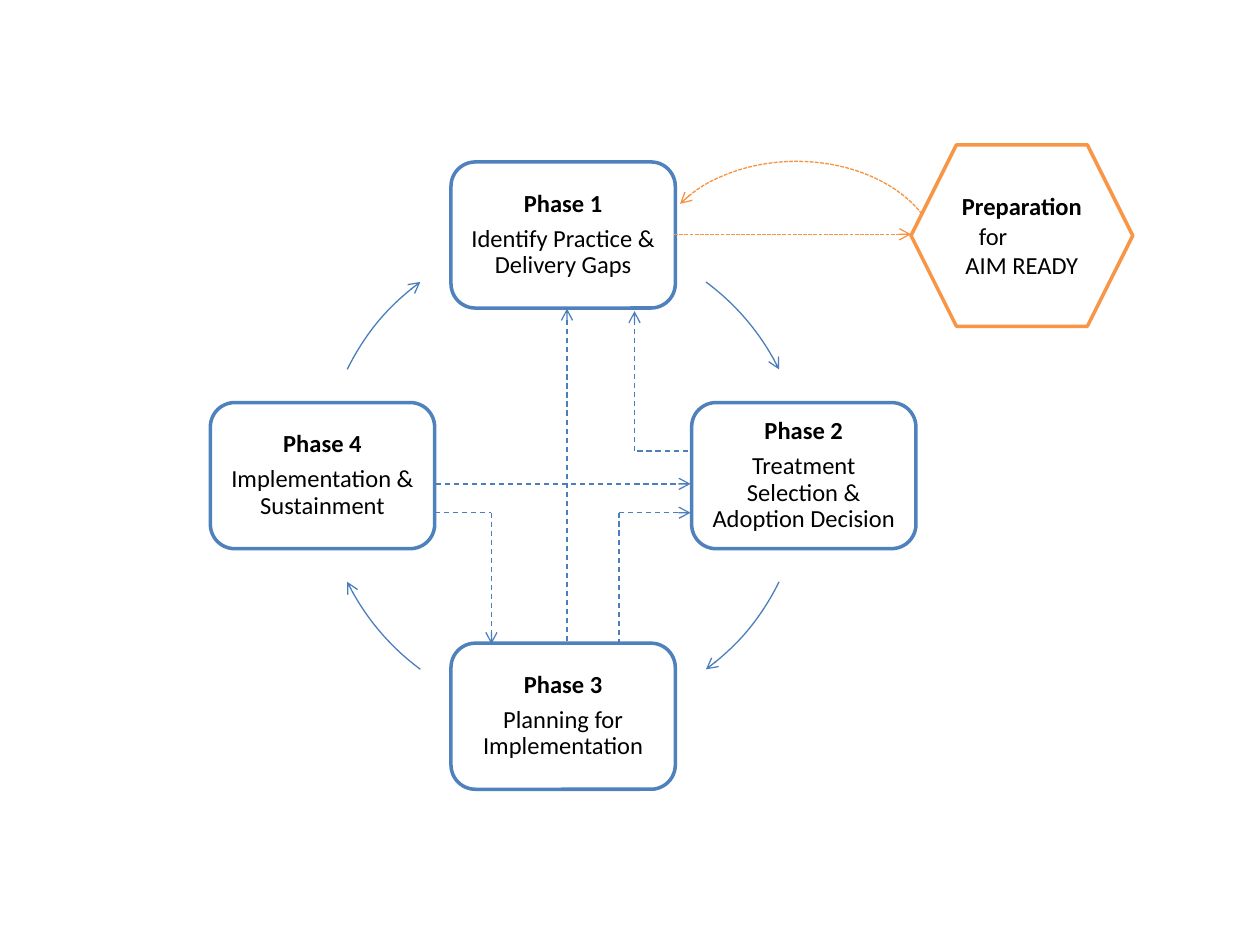
from itertools import pairwise

from lxml.etree import SubElement
from pptx import Presentation
from pptx.dml.color import RGBColor
from pptx.enum.dml import MSO_LINE
from pptx.enum.shapes import MSO_CONNECTOR, MSO_SHAPE
from pptx.enum.text import MSO_ANCHOR, PP_ALIGN
from pptx.oxml.ns import qn
from pptx.util import Pt

# Content: phase, description, direction from the cycle centre
PHASES = [
    ("Phase 1", "Identify Practice & Delivery Gaps", (0, -1)),
    ("Phase 2", "Treatment Selection & Adoption Decision", (1, 0)),
    ("Phase 3", "Planning for Implementation", (0, 1)),
    ("Phase 4", "Implementation & Sustainment", (-1, 0)),
]
PREPARATION = ["Preparation", "for", "AIM READY"]
PREPARATION_INDENTS = [0, 12.5, 0]

# Dashed routes in points, each ending in an arrowhead
FEEDBACK_ROUTES = [
    [(324, 366.5), (324, 176.4)],
    [(249, 276.5), (394.6, 276.5)],
    [(393, 257.8), (362.6, 257.8), (362.6, 177.8)],
    [(248.5, 293), (280.8, 293), (280.8, 368)],
    [(353.8, 368), (353.8, 293), (394.6, 293)],
]
PREPARATION_ROUTE = [(385.2, 133.9), (520.6, 133.9)]

# Cycle geometry: arrow angles are clockwise degrees from the right
CENTER_X, CENTER_Y, RADIUS = 321.8, 271.8, 137.5
BOX_WIDTH, BOX_HEIGHT = 128.2, 83.5
CYCLE_ARROWS = [(306.4, 333.8), (26.2, 53.6), (126.4, 153.8), (206.2, 233.6)]

BOX_BLUE, ARROW_BLUE = "4F81BD", "4B7EBC"
BOX_ORANGE, ARROW_ORANGE = "F79646", "F69240"
WHITE, BLACK = "FFFFFF", "000000"


def color(value):
    return RGBColor.from_string(value)


def set_line(part, hex_color, width=0.75, dash=None, arrow_end=None):
    part.line.color.rgb = color(hex_color)
    part.line.width = Pt(width)
    if dash:
        part.line.dash_style = dash
    if arrow_end:
        outline = part._element.spPr.find(qn("a:ln"))
        SubElement(outline, qn(f"a:{arrow_end}"), type="arrow")


def add_route(points, hex_color, dash):
    segments = list(pairwise(points))
    for number, (start, end) in enumerate(segments, 1):
        line = page.shapes.add_connector(
            MSO_CONNECTOR.STRAIGHT, *(Pt(value) for value in start + end))
        set_line(line, hex_color, dash=dash,
                 arrow_end="tailEnd" if number == len(segments) else None)
        SubElement(line._element.spPr, qn("a:effectLst"))


def add_shape(kind, left, top, width, height):
    shape = page.shapes.add_shape(
        kind, Pt(left), Pt(top), Pt(width), Pt(height))
    shape.shadow.inherit = False
    return shape


def add_arc(left, top, width, height, angles, hex_color, arrow_end, dash=None):
    arc = add_shape(MSO_SHAPE.ARC, left, top, width, height)
    arc.fill.background()
    # Adjustments count 100000ths, angles count 60000ths of a degree
    for index, angle in enumerate(angles):
        arc.adjustments[index] = angle * 0.6
    set_line(arc, hex_color, dash=dash, arrow_end=arrow_end)


def add_box(kind, left, top, width, height, hex_color, lines):
    box = add_shape(kind, left, top, width, height)
    box.fill.solid()
    box.fill.fore_color.rgb = color(WHITE)
    set_line(box, hex_color, width=2)
    frame = box.text_frame
    frame.word_wrap = True
    frame.vertical_anchor = MSO_ANCHOR.MIDDLE
    for index, text in enumerate(lines):
        para = frame.add_paragraph() if index else frame.paragraphs[0]
        para.text = text
        para.alignment = PP_ALIGN.CENTER
        para.font.name = "Calibri"
        para.font.size = Pt(14)
        para.font.bold = index == 0
        para.font.color.rgb = color(BLACK)
    return frame


deck = Presentation()
deck.slide_width, deck.slide_height = Pt(720), Pt(540)
page = deck.slides.add_slide(deck.slide_layouts[6])

# Phase boxes
for name, description, (across, down) in PHASES:
    frame = add_box(
        MSO_SHAPE.ROUNDED_RECTANGLE,
        CENTER_X + across * RADIUS - BOX_WIDTH / 2,
        CENTER_Y + down * RADIUS - BOX_HEIGHT / 2,
        BOX_WIDTH, BOX_HEIGHT, BOX_BLUE, [name, description])
    frame.margin_left = frame.margin_right = Pt(4.2)
    frame.margin_top = frame.margin_bottom = Pt(4.2)
    for para in frame.paragraphs:
        para.line_spacing = 0.9
        para.space_after = Pt(4.9)

# Cycle arrows
for angles in CYCLE_ARROWS:
    add_arc(CENTER_X - RADIUS, CENTER_Y - RADIUS, 2 * RADIUS, 2 * RADIUS,
            angles, ARROW_BLUE, "tailEnd")

# Feedback and preparation arrows
for route in FEEDBACK_ROUTES:
    add_route(route, ARROW_BLUE, MSO_LINE.DASH)
add_route(PREPARATION_ROUTE, ARROW_ORANGE, MSO_LINE.SQUARE_DOT)
add_arc(373, 92.2, 164.2, 117.4, (207.35, 340.09), ARROW_ORANGE, "headEnd",
        MSO_LINE.SQUARE_DOT)

# Preparation hexagon with an indented, left-aligned middle line
frame = add_box(MSO_SHAPE.HEXAGON, 520.6, 82.8, 126.7, 103.7, BOX_ORANGE,
                PREPARATION)
for para, indent in zip(frame.paragraphs, PREPARATION_INDENTS):
    properties = para._p.get_or_add_pPr()
    properties.set("marL", str(Pt(indent)))
    properties.set("indent", "0")
    if indent:
        para.alignment = PP_ALIGN.LEFT

deck.save("out.pptx")
